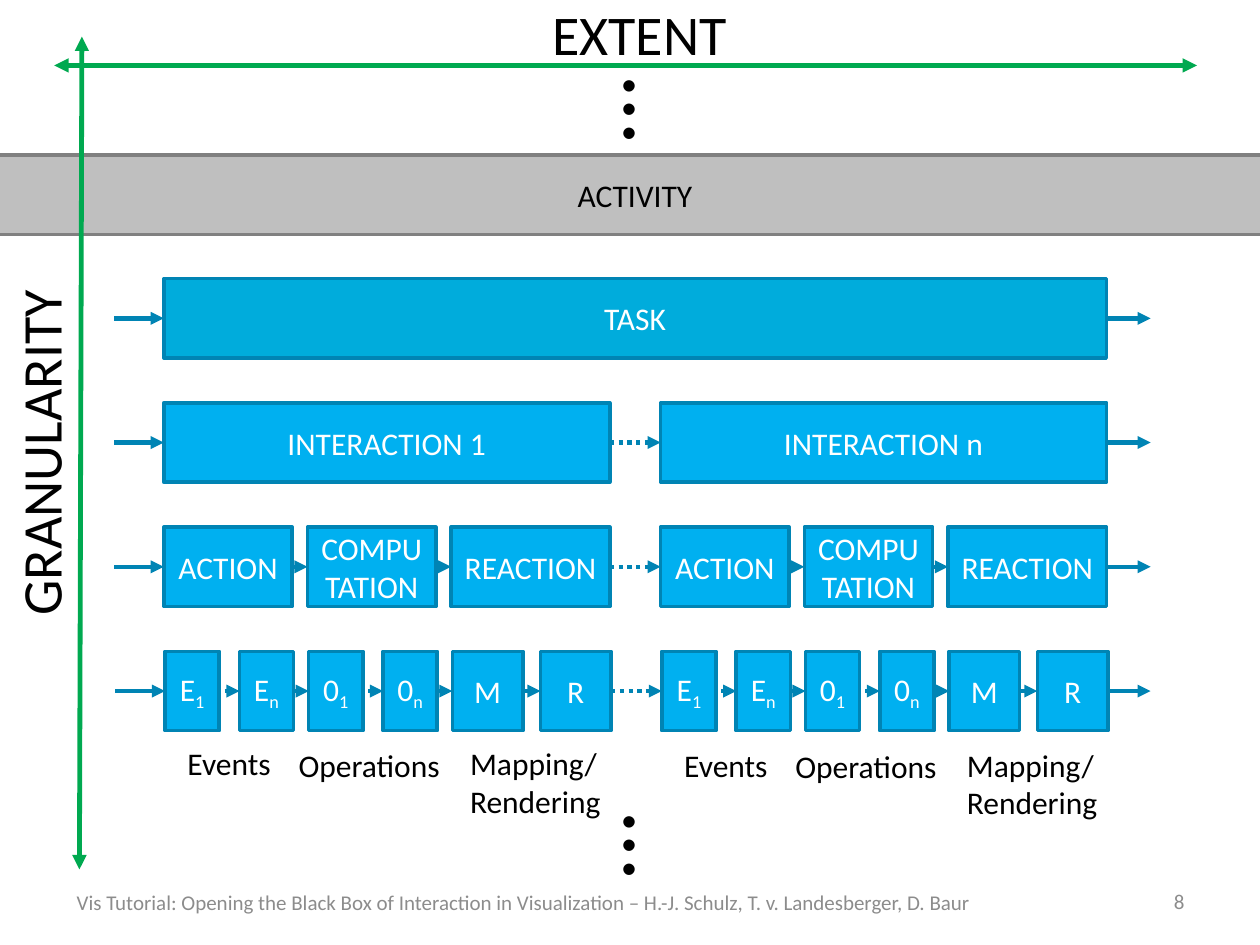
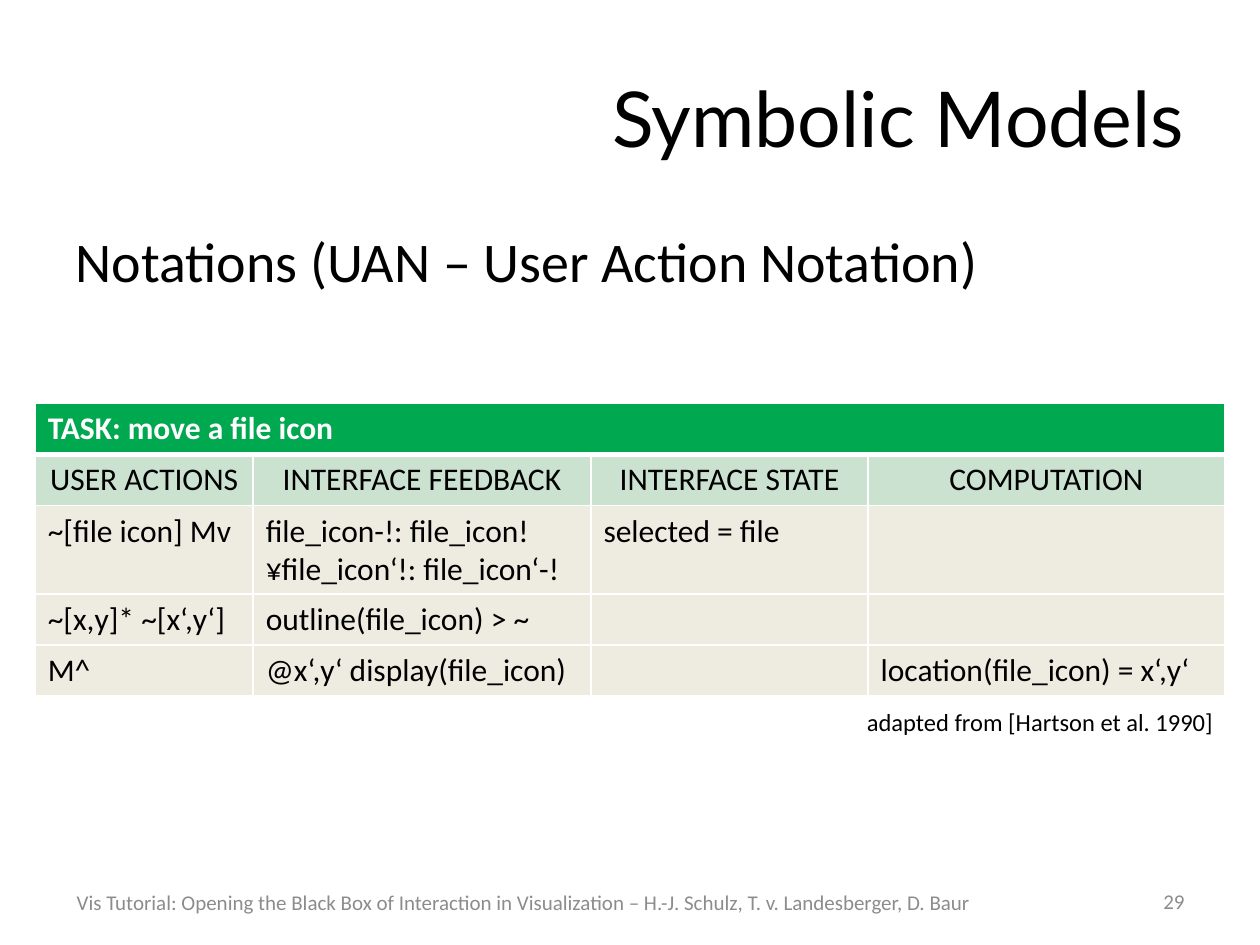
from dataclasses import dataclass
from typing import Optional

from lxml import etree
from pptx import Presentation
from pptx import util as u
from pptx.dml.color import RGBColor
from pptx.enum import dml, shapes, text
from pptx.oxml import ns

# Shared style
BLACK, WHITE, GREY = "000000", "FFFFFF", "8C8C8C"
GREEN, BLUE, TASK_BLUE, EDGE = "00A950", "00B0F0", "00ACDC", "0084B4"
FONT, TITLE_FONT = "Calibri", "Lato"
LEFT, CENTER, RIGHT = text.PP_ALIGN.LEFT, text.PP_ALIGN.CENTER, text.PP_ALIGN.RIGHT
TOP, MIDDLE = text.MSO_ANCHOR.TOP, text.MSO_ANCHOR.MIDDLE
FOOTER = ("Vis Tutorial: Opening the Black Box of Interaction in Visualization"
          " – H.-J. Schulz, T. v. Landesberger, D. Baur")

# Diagram grid, in points
ROW_TOP, ROW_PITCH, BOX_H = 159.2, 71, 45.4
DIAGRAM_LEFT, HALF_PITCH = 93.6, 283.9
LINK_LEN, EXIT_FROM, EXIT_TO = 28.4, 606.3, 657.5


@dataclass(frozen=True)
class Box:
    x: float
    y: float
    w: float
    h: float


@dataclass(frozen=True)
class Step:
    label: str
    x: float
    w: float
    sub: str = ""
    dotted: bool = False


@dataclass(frozen=True)
class Level:
    halves: list[list[Step]]
    fill: str = BLUE


@dataclass(frozen=True)
class Label:
    label: str
    box: Box


ACTIONS = [Step("ACTION", 0, 73.4), Step("COMPUTATION", 82.1, 73.4),
           Step("REACTION", 164.2, 90.7)]
EVENTS = [Step("E", 0.7, 31, "1"), Step("E", 43.2, 31, "n", True),
          Step("0", 82.8, 31, "1"), Step("0", 125.3, 31, "n", True),
          Step("M", 164.9, 40.3), Step("R", 215.3, 40.3)]
LEVELS = [
    Level([[Step("TASK", 0, 538.6)]], TASK_BLUE),
    Level([[Step("INTERACTION 1", 0, 254.9)], [Step("INTERACTION n", 0, 254.9)]]),
    Level([ACTIONS, ACTIONS]),
    Level([EVENTS, EVENTS]),
]
LABELS = [Label("Events", Box(100, 421.5, 68, 29)),
          Label("Operations", Box(163.5, 422.5, 99, 29)),
          Label("Mapping/\nRendering", Box(261.5, 421.5, 99, 51))]

COL_WIDTHS = [124.6, 193, 158.4, 203.8]
TABLE_ROWS = [
    ["TASK: move a file icon", "", "", ""],
    ["USER ACTIONS", "INTERFACE FEEDBACK", "INTERFACE STATE", "COMPUTATION"],
    ["~[file icon] Mv", "file_icon-!: file_icon!\n¥file_icon‘!: file_icon‘-!",
     "selected = file", ""],
    ["~[x,y]* ~[x‘,y‘]", "outline(file_icon) > ~", "", ""],
    ["M^", "@x‘,y‘ display(file_icon)", "", "location(file_icon) = x‘,y‘"],
]


def rgb(color: str) -> RGBColor:
    return RGBColor.from_string(color)


def place(box: Box) -> list[u.Length]:
    return [u.Pt(v) for v in (box.x, box.y, box.w, box.h)]


def write(tf, content: str, *, size: float = 18, color: str = BLACK,
          font: str = FONT, bold: bool = False, align=LEFT, sub: str = "") -> None:
    """Fill a text frame; newlines become line breaks, sub becomes a subscript."""
    p = tf.paragraphs[0]
    p.alignment = align
    lines = content.split("\n")
    for i, part in enumerate(lines + [sub] if sub else lines):
        is_sub = i == len(lines)
        if i and not is_sub:
            p.add_line_break()
        r = p.add_run()
        r.text = part
        r.font.size, r.font.name, r.font.bold = u.Pt(size), font, bold
        r.font.color.rgb = rgb(color)
        if is_sub:
            r._r.get_or_add_rPr().set("baseline", "-25000")


def add_text(s, box: Box, content: str, *, anchor=TOP, rotation: float = 0,
             **fmt) -> None:
    sp = s.shapes.add_textbox(*place(box))
    sp.rotation = rotation
    tf = sp.text_frame
    tf.word_wrap = True
    tf.vertical_anchor = anchor
    write(tf, content, **fmt)


def add_rect(s, box: Box, content: str, fill: str, edge: str, **fmt):
    sp = s.shapes.add_shape(shapes.MSO_SHAPE.RECTANGLE, *place(box))
    sp.shadow.inherit = False
    sp.fill.solid()
    sp.fill.fore_color.rgb = rgb(fill)
    sp.line.color.rgb = rgb(edge)
    sp.line.width = u.Pt(2)
    tf = sp.text_frame
    tf.word_wrap = True
    tf.vertical_anchor = MIDDLE
    write(tf, content, align=CENTER, **fmt)
    return sp


def add_arrow(s, x1: float, y1: float, x2: float, y2: float, *, color: str = EDGE,
              width: float = 2.5, dotted: bool = False, both: bool = False):
    cx = s.shapes.add_connector(shapes.MSO_CONNECTOR.STRAIGHT,
                                *(u.Pt(v) for v in (x1, y1, x2, y2)))
    cx.line.color.rgb = rgb(color)
    cx.line.width = u.Pt(width)
    if dotted:
        cx.line.dash_style = dml.MSO_LINE.ROUND_DOT
    ln = cx.line._get_or_add_ln()
    for end in ("a:headEnd", "a:tailEnd") if both else ("a:tailEnd",):
        etree.SubElement(ln, ns.qn(end), type="triangle")
    etree.SubElement(cx._element.spPr, ns.qn("a:effectLst"))
    return cx


def add_footer(s, number: int) -> None:
    style = dict(anchor=MIDDLE, size=12, color=GREY)
    add_text(s, Box(36.7, 502.5, 550, 26.6), FOOTER, **style)
    add_text(s, Box(516.2, 500.4, 167.8, 28.8), str(number), align=RIGHT, **style)


def add_level(s, level: Level, top: float) -> None:
    """Draw one row: the links first, so that the boxes cover their starts."""
    mid = top + BOX_H / 2
    add_arrow(s, EXIT_FROM, mid, EXIT_TO, mid)
    placed = [(step, DIAGRAM_LEFT + half * HALF_PITCH + step.x, half > 0 and i == 0)
              for half, steps in enumerate(level.halves)
              for i, step in enumerate(steps)]
    links = [add_arrow(s, x - LINK_LEN, mid, x, mid, dotted=step.dotted or bridge)
             for step, x, bridge in placed]
    previous: Optional[object] = None
    for (step, x, bridge), link in zip(placed, links):
        sp = add_rect(s, Box(x, top, step.w, BOX_H), step.label, level.fill, EDGE,
                      color=WHITE, sub=step.sub)
        link.end_connect(sp, 1)
        if bridge:
            link.begin_connect(previous, 3)
        previous = sp


def style_cell(cell, fill: str, top: float, bottom: float) -> None:
    tc_pr = cell._tc.get_or_add_tcPr()
    for side, width in (("L", 1), ("R", 1), ("T", top), ("B", bottom)):
        ln = etree.SubElement(tc_pr, ns.qn(f"a:ln{side}"), w=str(u.Pt(width)))
        solid = etree.SubElement(ln, ns.qn("a:solidFill"))
        etree.SubElement(solid, ns.qn("a:srgbClr"), val=WHITE)
    cell.fill.solid()
    cell.fill.fore_color.rgb = rgb(fill)


def add_notation_table(s, x: float, y: float, row_h: float) -> None:
    box = Box(x, y, sum(COL_WIDTHS), row_h * len(TABLE_ROWS))
    table = s.shapes.add_table(len(TABLE_ROWS), len(COL_WIDTHS), *place(box)).table
    table.first_row = table.horz_banding = False
    for col, width in zip(table.columns, COL_WIDTHS):
        col.width = u.Pt(width)
    fills = [GREEN, "CCE2D0"] + ["EEECE1"] * 3
    for i, (row, fill) in enumerate(zip(TABLE_ROWS, fills)):
        table.rows[i].height = u.Pt(row_h)
        for j, content in enumerate(row):
            cell = table.cell(i, j)
            style_cell(cell, fill, 3 if i == 1 else 1, 3 if i == 0 else 1)
            if content:
                write(cell.text_frame, content, bold=i == 0,
                      color=WHITE if i == 0 else BLACK,
                      align=CENTER if i == 1 else LEFT)
    table.cell(0, 0).merge(table.cell(0, len(COL_WIDTHS) - 1))


def build_granularity(s) -> None:
    add_footer(s, 8)

    # Activity band and the levels below it
    add_rect(s, Box(-2.9, 88.6, 731.5, BOX_H), "ACTIVITY", "BFBFBF", "808080")
    for i, level in enumerate(LEVELS):
        add_level(s, level, ROW_TOP + i * ROW_PITCH)

    # Axes
    axis = dict(color=GREEN, width=2.75, both=True)
    add_arrow(s, 31, 37.4, 684, 37.4, **axis)
    add_arrow(s, 46.8, 20.9, 45.4, 496.8, **axis)
    add_text(s, Box(265, -3.6, 201, 46), "EXTENT", size=32, align=CENTER)
    add_text(s, Box(-77.8, 235.4, 201, 46), "GRANULARITY", size=32, rotation=270)

    # Captions under both halves
    for half in range(2):
        for label in LABELS:
            b = label.box
            add_text(s, Box(b.x + half * HALF_PITCH, b.y + half, b.w, b.h), label.label)

    # Continuation dots above and below
    for y in (32.4, 452.9):
        add_text(s, Box(346.3, y, 63.4, 72.7), "…", size=54, rotation=90)


def build_symbolic_models(s) -> None:
    add_text(s, Box(36, 21.6, 648, 90), "Symbolic Models", size=44, font=TITLE_FONT,
             align=RIGHT, anchor=MIDDLE)
    add_text(s, Box(36, 126, 658.8, 356.4), "Notations (UAN – User Action Notation)",
             size=32)
    add_footer(s, 29)
    add_notation_table(s, 20.1, 230.6, 29.2)
    add_text(s, Box(488.2, 400.3, 234, 24.5), "adapted from [Hartson et al. 1990]",
             size=14)


def main() -> None:
    prs = Presentation()
    prs.slide_width, prs.slide_height = u.Pt(720), u.Pt(540)
    for build in (build_granularity, build_symbolic_models):
        build(prs.slides.add_slide(prs.slide_layouts[6]))
    prs.save("out.pptx")


if __name__ == "__main__":
    main()
